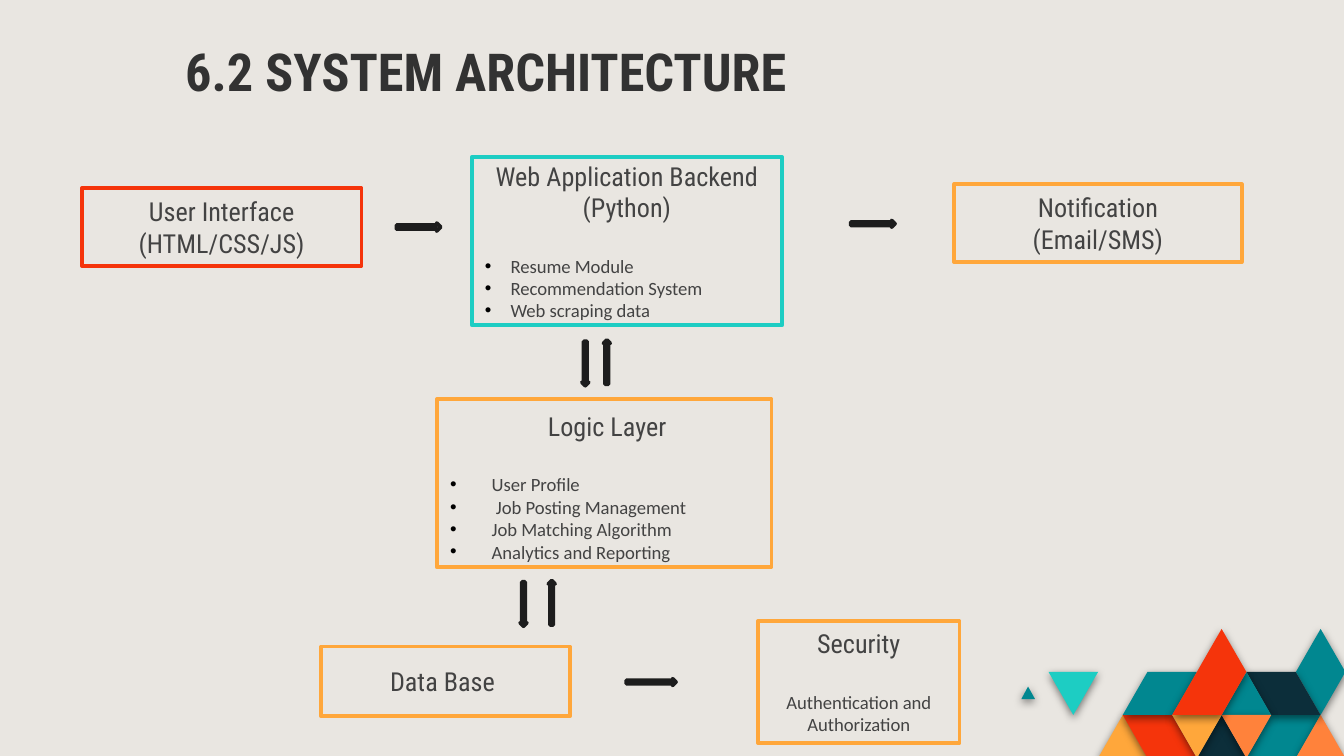
from lxml import etree
from pptx import Presentation
from pptx.dml.color import RGBColor
from pptx.enum.shapes import MSO_SHAPE
from pptx.enum.text import MSO_ANCHOR, PP_ALIGN
from pptx.oxml.ns import qn
from pptx.util import Inches, Pt

RECT = MSO_SHAPE.RECTANGLE
RIGHT, UP, DOWN = MSO_SHAPE.RIGHT_ARROW, MSO_SHAPE.UP_ARROW, MSO_SHAPE.DOWN_ARROW
CENTER, LEFT = PP_ALIGN.CENTER, PP_ALIGN.LEFT
TOP, MIDDLE = MSO_ANCHOR.TOP, MSO_ANCHOR.MIDDLE
HEADING_FONT, BODY_FONT = "Roboto Condensed", "Calibri"

COLORS = {
    "background": "E9E6E1", "title": "323232", "text": "434343",
    "bullet": "000000", "arrow_line": "1D1D1D", "red": "F5340B",
    "turquoise": "1DCDC3", "amber": "FFA73B", "orange": "FF823B",
    "teal": "018790", "navy": "0C2E3A",
}


def color(name):
    return RGBColor.from_string(COLORS[name])


def add_outlined(kind, bounds, fill, line):
    """Add a preset shape with a 2 pt outline and rounded line joins."""
    shape = slide.shapes.add_shape(kind, *map(Inches, bounds))
    shape.shadow.inherit = False
    shape.fill.solid()
    shape.fill.fore_color.rgb = color(fill)
    shape.line.color.rgb = color(line)
    shape.line.width = Pt(2)
    etree.SubElement(shape.line._get_or_add_ln(), qn("a:round"))
    return shape


prs = Presentation()
prs.slide_width = Inches(10)
prs.slide_height = Inches(10) * 9 // 16
slide = prs.slides.add_slide(prs.slide_layouts[6])
slide.background.fill.solid()
slide.background.fill.fore_color.rgb = color("background")

# Corner mosaic: (column, row) corners on a triangular grid
GRID_LEFT, GRID_TOP, COLUMN, ROW = 8.17, 4.68, 0.184, 0.32
mosaic = [
    ("amber", [(0, 3), (1, 2), (2, 3)]),
    ("red", [(1, 2), (3, 2), (4, 3), (2, 3)]),
    ("teal", [(6, 3), (7, 2), (9, 2), (8, 3)]),
    ("orange", [(8, 3), (9, 2), (10, 3)]),
    ("navy", [(4, 3), (5, 2), (6, 3)]),
    ("teal", [(1, 2), (2, 1), (4, 1), (3, 2)]),
    ("teal", [(-3.1, 1.63), (-2.83, 1.34), (-2.55, 1.63)]),
    ("turquoise", [(-2, 1), (0, 1), (-1, 2)]),
    ("teal", [(8, 1), (9, 0), (10, 1), (9, 2)]),
    ("navy", [(6, 1), (8, 1), (9, 2), (7, 2)]),
    ("teal", [(5, 2), (6, 1), (7, 2)]),
    ("orange", [(5, 2), (7, 2), (6, 3)]),
    ("amber", [(3, 2), (5, 2), (4, 3)]),
    ("red", [(3, 2), (5, 0), (6, 1), (5, 2)]),
]
for fill, corners in mosaic:
    points = [(Inches(GRID_LEFT + c * COLUMN), Inches(GRID_TOP + r * ROW))
              for c, r in corners]
    outline = slide.shapes.build_freeform(*points[0])
    outline.add_line_segments(points[1:], close=True)
    tile = outline.convert_to_shape()
    tile.fill.solid()
    tile.fill.fore_color.rgb = color(fill)
    tile.line.fill.background()
    tile.shadow.inherit = False
    effects = tile._element.spPr.find(qn("a:effectLst"))
    shadow = etree.SubElement(effects, qn("a:outerShdw"), blurRad=str(Pt(4.5)),
                              dist=str(Pt(1.5)), dir="5400000", algn="ctr", rotWithShape="0")
    black = etree.SubElement(shadow, qn("a:srgbClr"), val="000000")
    etree.SubElement(black, qn("a:alpha"), val="50000")

# Components: bounds, outline, anchor, top inset, headings, details, bullet indent
components = [
    ((0.61, 1.4, 2.08, 0.58), "red", MIDDLE, 0.05,
     ["User Interface", "(HTML/CSS/JS)"], [], 0),
    ((3.51, 1.17, 2.31, 1.25), "turquoise", TOP, 0.02,
     ["Web Application Backend (Python)"],
     ["Resume Module", "Recommendation System", "Web scraping data"], 0.19),
    ((3.25, 2.97, 2.49, 1.25), "amber", TOP, 0.08,
     [" Logic Layer"],
     ["User Profile", " Job Posting Management", "Job Matching Algorithm",
      "Analytics and Reporting"], 0.31),
    ((7.1, 1.37, 2.14, 0.58), "amber", MIDDLE, 0.05,
     ["Notification", "(Email/SMS)"], [], 0),
    ((2.39, 4.81, 1.85, 0.52), "amber", MIDDLE, 0.05, ["Data Base "], [], 0),
    ((5.64, 4.62, 1.5, 0.91), "amber", TOP, 0.05,
     ["Security"], ["Authentication and Authorization"], 0),
]
for bounds, line, anchor, inset, headings, details, indent in components:
    frame = add_outlined(RECT, bounds, "background", line).text_frame
    frame.word_wrap = True
    frame.vertical_anchor = anchor
    frame.margin_top = Inches(inset)
    for i, text in enumerate(headings + details):
        is_detail = i >= len(headings)
        paragraph = frame.add_paragraph() if i else frame.paragraphs[0]
        paragraph.alignment = LEFT if is_detail and indent else CENTER
        if is_detail and i == len(headings):
            paragraph.space_before = Pt(17)
        run = paragraph.add_run()
        run.text = text
        run.font.name = BODY_FONT if is_detail else HEADING_FONT
        run.font.size = Pt(10 if is_detail else 14)
        run.font.color.rgb = color("text")
        if is_detail and indent:
            props = paragraph._p.get_or_add_pPr()
            props.set("marL", str(Inches(indent)))
            props.set("indent", str(-Inches(indent)))
            bullet_color = etree.SubElement(props, qn("a:buClr"))
            etree.SubElement(bullet_color, qn("a:srgbClr"), val=COLORS["bullet"])
            etree.SubElement(props, qn("a:buFont"), typeface="Arial")
            etree.SubElement(props, qn("a:buChar"), char="•")

# Data flow between components
flows = [
    (RIGHT, (2.95, 1.66, 0.33, 0.06)),
    (RIGHT, (6.33, 1.64, 0.33, 0.05)),
    (DOWN, (4.33, 2.54, 0.05, 0.33)),
    (UP, (4.49, 2.53, 0.05, 0.33)),
    (DOWN, (3.87, 4.33, 0.05, 0.33)),
    (UP, (4.08, 4.32, 0.05, 0.33)),
    (RIGHT, (4.66, 5.05, 0.37, 0.05)),
]
for direction, bounds in flows:
    add_outlined(direction, bounds, "text", "arrow_line")

title = slide.shapes.add_textbox(Inches(1.28), Inches(0.24), Inches(6.42), Inches(0.57))
title.text_frame.word_wrap = True
title_run = title.text_frame.paragraphs[0].add_run()
title_run.text = "6.2 SYSTEM ARCHITECTURE"
title_run.font.name = HEADING_FONT
title_run.font.size = Pt(28)
title_run.font.bold = True
title_run.font.color.rgb = color("title")

prs.save("out.pptx")
